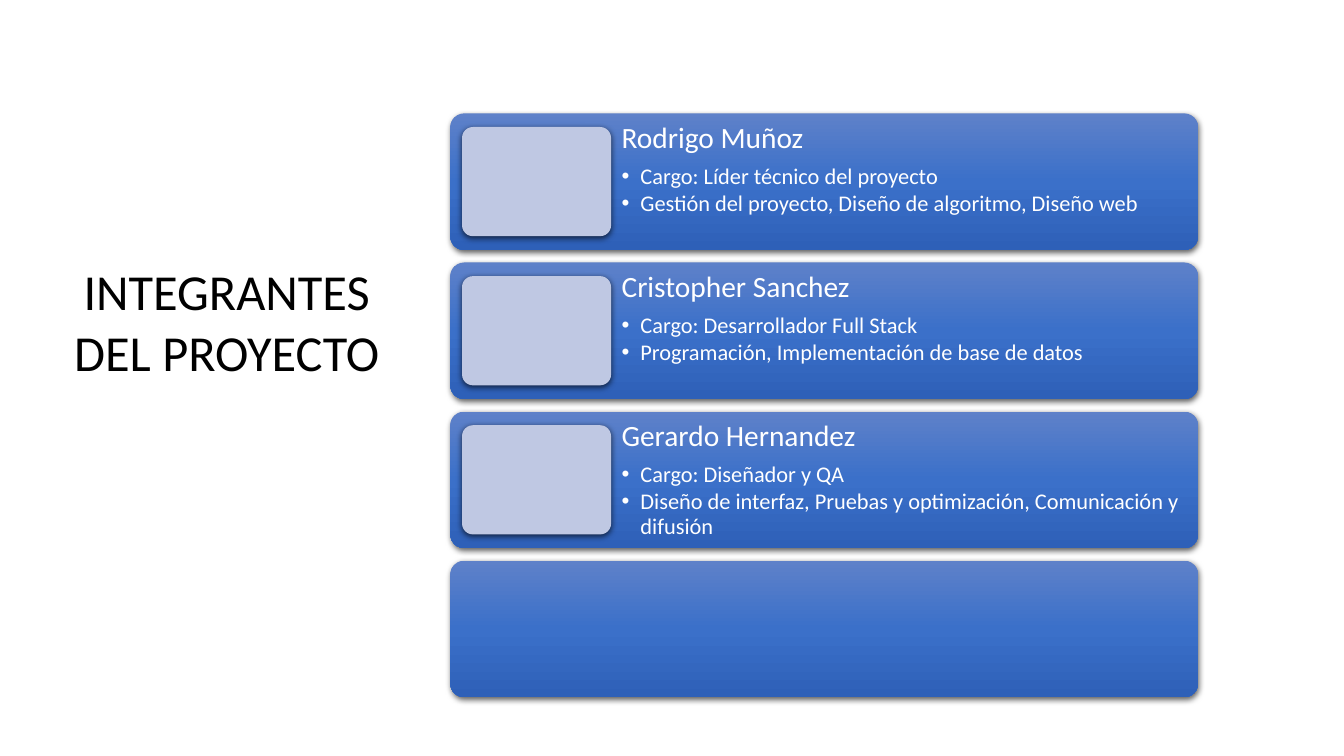
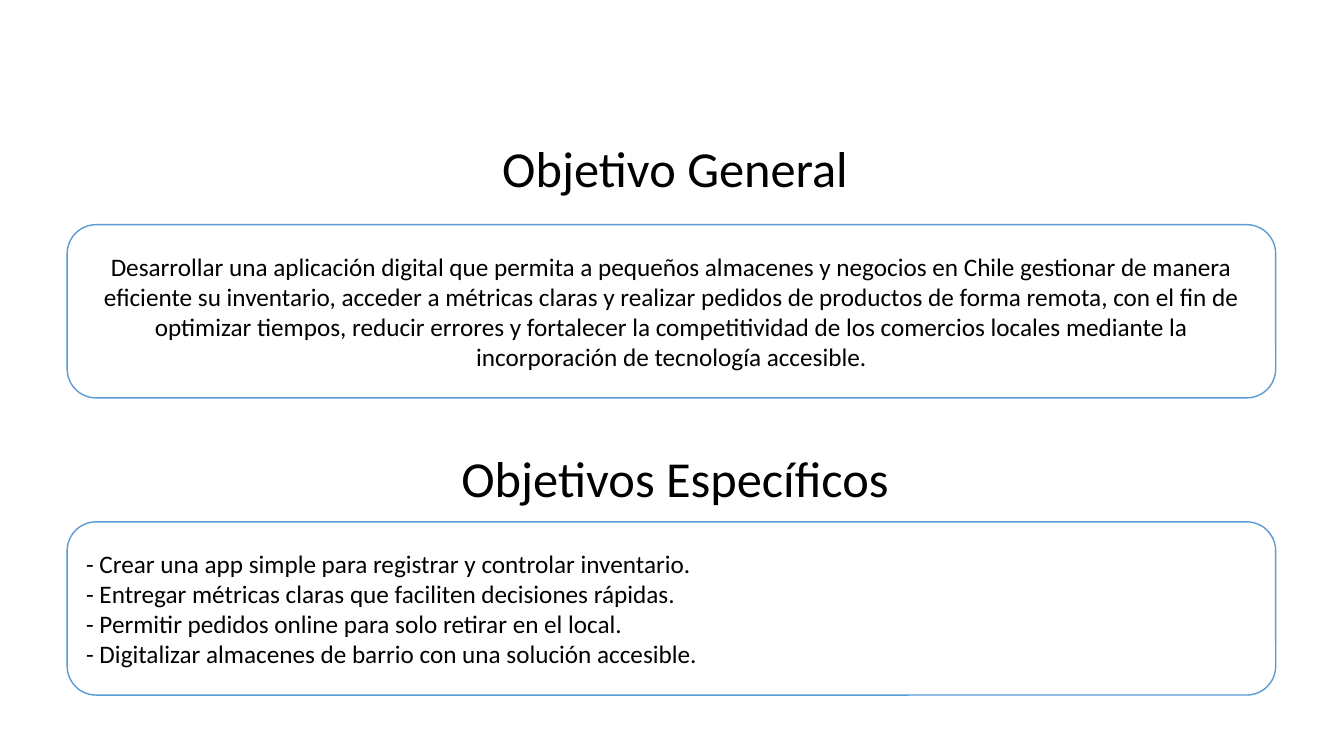
"""Build two project slides: the team members and the goals."""
from dataclasses import dataclass

from lxml import etree
from pptx import Presentation
from pptx.dml.color import RGBColor
from pptx.enum.shapes import MSO_SHAPE
from pptx.enum.text import MSO_ANCHOR, MSO_AUTO_SIZE, PP_ALIGN
from pptx.oxml.ns import qn
from pptx.util import Pt

ROUND = MSO_SHAPE.ROUNDED_RECTANGLE
TOP, MIDDLE = MSO_ANCHOR.TOP, MSO_ANCHOR.MIDDLE
LEFT, CENTER, JUSTIFY = PP_ALIGN.LEFT, PP_ALIGN.CENTER, PP_ALIGN.JUSTIFY
FIXED = MSO_AUTO_SIZE.NONE
PX = 9525
COMPARE = 3 + 1


@dataclass(frozen=True)
class Theme:
    """Colours, font and type sizes of the deck."""
    font: str = "Calibri"
    ink: str = "000000"
    paper: str = "FFFFFF"
    edge: str = "5B9BD5"
    photo: str = "BFC8E3"
    blues: tuple = ("5E81C9", "3B70C9", "2E60B8")
    title: int = 36
    name: int = 21
    body: int = 18
    item: int = 16


THEME = Theme()

TEAM = [
    ("Rodrigo Muñoz", "Cargo: Líder técnico del proyecto",
     "Gestión del proyecto, Diseño de algoritmo, Diseño web"),
    ("Cristopher Sanchez", "Cargo: Desarrollador Full Stack",
     "Programación, Implementación de base de datos"),
    ("Gerardo Hernandez", "Cargo: Diseñador y QA",
     "Diseño de interfaz, Pruebas y optimización, Comunicación y difusión"),
]
GOAL = [
    "Desarrollar una aplicación digital que permita a pequeños almacenes y "
    "negocios en Chile gestionar de manera eficiente su inventario, acceder a "
    "métricas claras y realizar pedidos de productos de forma remota, con el "
    "fin de optimizar tiempos, reducir errores y fortalecer la competitividad "
    "de los comercios locales mediante la incorporación de tecnología accesible.",
]
AIMS = [
    "- Crear una app simple para registrar y controlar inventario.",
    "- Entregar métricas claras que faciliten decisiones rápidas.",
    "- Permitir pedidos online para solo retirar en el local.",
    "- Digitalizar almacenes de barrio con una solución accesible.",
]


def rgb(code):
    """Turn a hex code into a colour."""
    return RGBColor.from_string(code)


def place(shape, left, top, width, height):
    """Move and size a shape, in px."""
    shape.left, shape.top = left * PX, top * PX
    shape.width, shape.height = width * PX, height * PX


def setup(shape, anchor, side, edge):
    """Prepare the text frame of a shape, margins in px."""
    frame = shape.text_frame
    frame.word_wrap = True
    frame.auto_size = FIXED
    frame.vertical_anchor = anchor
    frame.margin_left = frame.margin_right = side * PX
    frame.margin_top = frame.margin_bottom = edge * PX
    return frame


def write(frame, lines, size, color, align):
    """Fill a frame with plain paragraphs of one style."""
    frame.text = "\n".join(lines)
    for para in frame.paragraphs:
        style(para, size, color, align)


def style(para, size, color, align, before=0, spacing=1.0, dot=False):
    """Format one paragraph, with a bullet if asked."""
    font = para.font
    font.name, font.size, font.bold = THEME.font, Pt(size), False
    font.color.rgb = rgb(color)
    para.alignment = align
    para.space_before = Pt(before)
    para.line_spacing = spacing
    props = para._p.get_or_add_pPr()
    indent = 18 * PX if dot else 0
    props.set("marL", str(indent))
    props.set("indent", str(-indent))
    mark = etree.Element(qn("a:buChar" if dot else "a:buNone"))
    if dot:
        mark.set("char", "•")
    props.insert_element_before(mark, "a:tabLst", "a:defRPr", "a:extLst")


def head(holder, text, *box):
    """Set a placeholder as a heading."""
    place(holder, *box)
    frame = setup(holder, TOP, 10, 5)
    write(frame, [text], THEME.title, THEME.ink, CENTER)


def block(slide, box, curve):
    """Add a rounded box without shadow."""
    shape = slide.shapes.add_shape(ROUND, 0, 0, 0, 0)
    place(shape, *box)
    shape.adjustments[0] = curve
    shape.shadow.inherit = False
    return shape


def raised(slide, *box):
    """Add a borderless rounded box with a soft shadow."""
    shape = block(slide, box, 0.1)
    shape.line.fill.background()
    effects = shape._element.spPr.find(qn("a:effectLst"))
    shade = etree.SubElement(
        effects, qn("a:outerShdw"), blurRad=str(Pt(4.5)), dist=str(Pt(1.5)),
        dir="5400000", algn="ctr", rotWithShape="0")
    color = etree.SubElement(shade, qn("a:srgbClr"), val=THEME.ink)
    etree.SubElement(color, qn("a:alpha"), val="63000")
    return shape


def blend(shape):
    """Fill a shape with the blues from top to bottom."""
    shape.fill.gradient()
    shape.fill.gradient_angle = 270
    stops = shape._element.spPr.find(".//" + qn("a:gsLst"))
    for old in list(stops):
        stops.remove(old)
    step = 100000 // (len(THEME.blues) - 1)
    for i, code in enumerate(THEME.blues):
        stop = etree.SubElement(stops, qn("a:gs"), pos=str(i * step))
        etree.SubElement(stop, qn("a:srgbClr"), val=code)


def member(slide, holder, top, height, lines):
    """Put a photo box and a member's list on a card."""
    photo = raised(slide, 440, top + 13, 142, height - 26)
    photo.fill.solid()
    photo.fill.fore_color.rgb = rgb(THEME.photo)
    slide.shapes._spTree.append(holder._element)
    place(holder, 583, top, 558, height)
    frame = setup(holder, TOP, 9, 9)
    frame.text = "\n".join(lines)
    name, *items = frame.paragraphs
    style(name, THEME.name, THEME.paper, LEFT, spacing=0.9)
    for para, gap in zip(items, (7.3, 2.4)):
        para.level = 1
        style(para, THEME.item, THEME.paper, LEFT, gap, 0.9, True)


def panel(slide, top, lines, align):
    """Add an outlined box of text."""
    shape = block(slide, (64, top, 1151, 165), 0.167)
    shape.fill.solid()
    shape.fill.fore_color.rgb = rgb(THEME.paper)
    shape.line.color.rgb = rgb(THEME.edge)
    shape.line.width = Pt(1)
    frame = setup(shape, MIDDLE, 10, 5)
    write(frame, lines, THEME.body, THEME.ink, align)


def begin(deck, count):
    """Add a slide and keep its title and some body placeholders."""
    slide = deck.slides.add_slide(deck.slide_layouts[COMPARE])
    title, *bodies = slide.placeholders
    for spare in bodies[count:]:
        spare._element.getparent().remove(spare._element)
    return slide, title, bodies[:count]


def team(deck):
    """Build the slide of project members."""
    slide, title, bodies = begin(deck, len(TEAM))
    head(title, "INTEGRANTES DEL PROYECTO", 59, 243, 314, 126)
    top, end, height, count = 108, 664, 130, len(TEAM) + 1
    step = (end - top - height) // (count - 1)
    tops = [top + i * step for i in range(count)]
    for y in tops:
        blend(raised(slide, 429, y, 712, height))
    for holder, y, lines in zip(bodies, tops, TEAM):
        member(slide, holder, y, height, lines)


def goals(deck):
    """Build the slide of general and specific goals."""
    slide, title, (second,) = begin(deck, 1)
    head(title, "Objetivo General", 16, 126, 1254, 68)
    head(second, "Objetivos Específicos", 16, 421, 1254, 68)
    panel(slide, 214, GOAL, CENTER)
    panel(slide, 497, AIMS, JUSTIFY)


def main():
    """Build and save the deck."""
    deck = Presentation()
    deck.slide_width, deck.slide_height = 1280 * PX, 720 * PX
    team(deck)
    goals(deck)
    deck.save("out.pptx")


if __name__ == "__main__":
    main()
